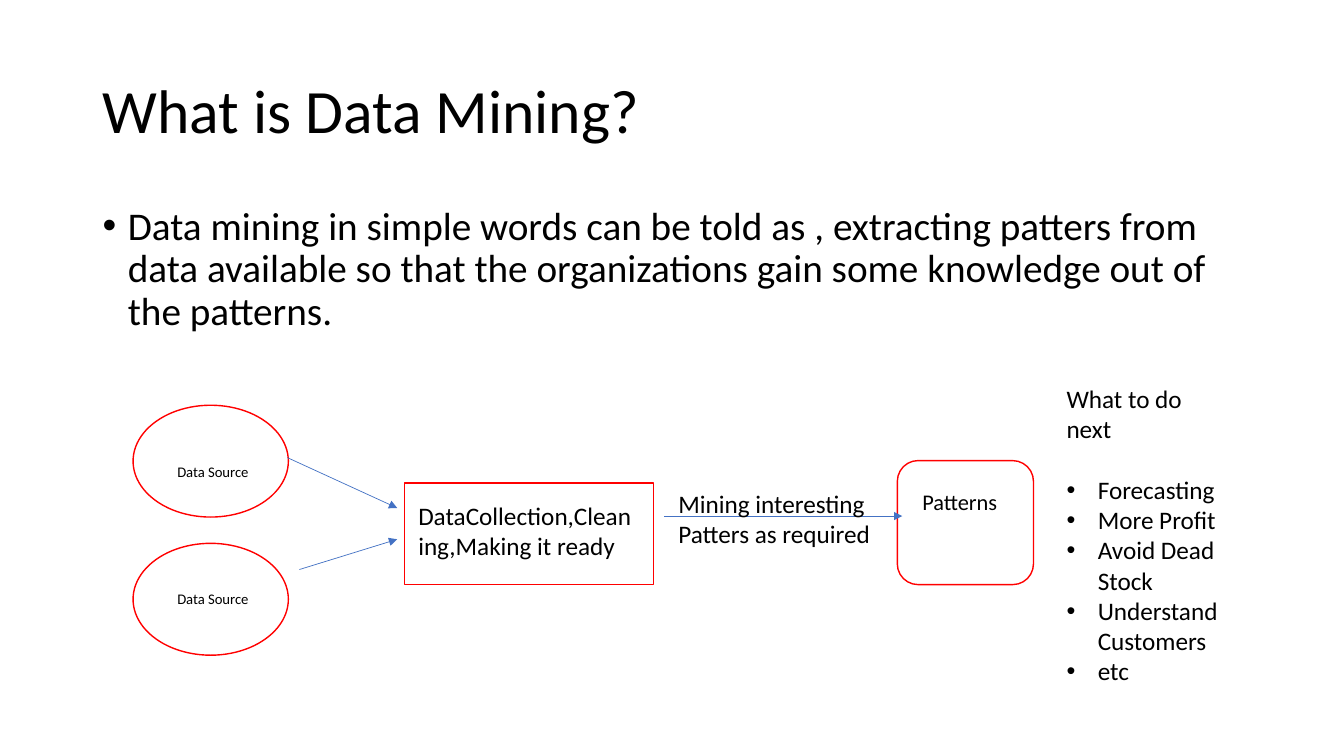
"""Build the slide that explains data mining as a flow from sources to patterns."""
from lxml.etree import SubElement
from pptx import Presentation
from pptx.dml.color import RGBColor
from pptx.enum.shapes import MSO_CONNECTOR, MSO_SHAPE
from pptx.enum.text import MSO_ANCHOR
from pptx.oxml.ns import qn
from pptx.util import Inches, Pt

COLORS = {"text": "000000", "outline": "FF0000", "arrow": "4472C4"}
FONT = "Calibri"
MARGIN, CONTENT_W = 0.92, 11.5
SOURCE_X, SOURCE_W, SOURCE_H = 1.32, 1.54, 1.11
FLOW_Y = 4.79

TITLE = "What is Data Mining?"
DEFINITION = ("Data mining in simple words can be told as , extracting patters from data "
              "available so that the organizations gain some knowledge out of the patterns.")
NEXT_HEADING = "What to do next"
NEXT_STEPS = ["Forecasting", "More Profit", "Avoid Dead Stock", "Understand Customers", "etc"]

NODES = [
    (MSO_SHAPE.OVAL, (SOURCE_X, 5.39, SOURCE_W, SOURCE_H)),
    (MSO_SHAPE.OVAL, (SOURCE_X, 4.02, SOURCE_W, SOURCE_H)),
    (MSO_SHAPE.RECTANGLE, (4.01, FLOW_Y, 2.47, 1.01)),
    (MSO_SHAPE.ROUNDED_RECTANGLE, (8.9, 4.57, 1.35, 1.23)),
]
ARROWS = [
    ((2.85, 4.54), (3.94, 5.04)),
    ((2.97, 5.65), (3.94, 5.35)),
    ((6.59, 5.12), (8.95, 5.12)),
]
LABELS = [
    ("Data Source", (1.66, 5.8, 1.19, 0.28), 10.5),
    ("Data Source", (1.66, 4.54, 1.19, 0.28), 10.5),
    ("DataCollection,Cleaning,Making it ready", (4.05, 4.91, 2.35, 0.71), 18),
    ("Mining interesting Patters as required", (6.63, FLOW_Y, 2.27, 0.71), 18),
    ("Patterns", (9.05, FLOW_Y, 1.03, 0.37), 16),
]


def rgb(name):
    return RGBColor.from_string(COLORS[name])


def add_bullet(p, indent):
    pPr = p._p.get_or_add_pPr()
    pPr.set("marL", str(Inches(indent)))
    pPr.set("indent", str(-Inches(indent)))
    SubElement(pPr, qn("a:buFont"), typeface="Arial")
    SubElement(pPr, qn("a:buChar"), char="•")


def add_text(s, box, lines, size, anchor=MSO_ANCHOR.TOP, spacing=None, indent=0.31):
    tf = s.shapes.add_textbox(*map(Inches, box)).text_frame
    tf.word_wrap = True
    tf.vertical_anchor = anchor
    for i, (text, bulleted) in enumerate(lines):
        p = tf.add_paragraph() if i else tf.paragraphs[0]
        if spacing:
            p.line_spacing = spacing
        if bulleted:
            add_bullet(p, indent)
        r = p.add_run()
        r.text = text
        r.font.size, r.font.name = Pt(size), FONT
        r.font.color.rgb = rgb("text")
    return tf


def add_node(s, kind, box):
    sp = s.shapes.add_shape(kind, *map(Inches, box))
    sp.shadow.inherit = False
    sp.fill.background()
    sp.line.color.rgb = rgb("outline")
    sp.line.width = Pt(1)


def add_arrow(s, start, end):
    line = s.shapes.add_connector(MSO_CONNECTOR.STRAIGHT, *map(Inches, start + end))
    line.line.color.rgb = rgb("arrow")
    line.line.width = Pt(0.5)
    SubElement(line.line._get_or_add_ln(), qn("a:tailEnd"), type="triangle")
    SubElement(line._element.spPr, qn("a:effectLst"))


def main():
    prs = Presentation()
    prs.slide_width, prs.slide_height = Inches(13.33), Inches(7.5)
    s = prs.slides.add_slide(prs.slide_layouts[6])

    add_text(s, (MARGIN, 0.4, CONTENT_W, 1.45), [(TITLE, False)], 44, MSO_ANCHOR.MIDDLE, 0.9)
    add_text(s, (MARGIN, 2, CONTENT_W, 4.76), [(DEFINITION, True)], 28, spacing=0.9, indent=0.25)
    for kind, box in NODES:
        add_node(s, kind, box)
    for start, end in ARROWS:
        add_arrow(s, start, end)
    for text, box, size in LABELS:
        add_text(s, box, [(text, False)], size)

    steps = [(NEXT_HEADING, False)] + [(step, True) for step in NEXT_STEPS]
    tf = add_text(s, (10.48, 3.75, 1.73, 3.13), steps, 18)
    tf.paragraphs[0].space_after = Pt(22)

    prs.save("out.pptx")


if __name__ == "__main__":
    main()
